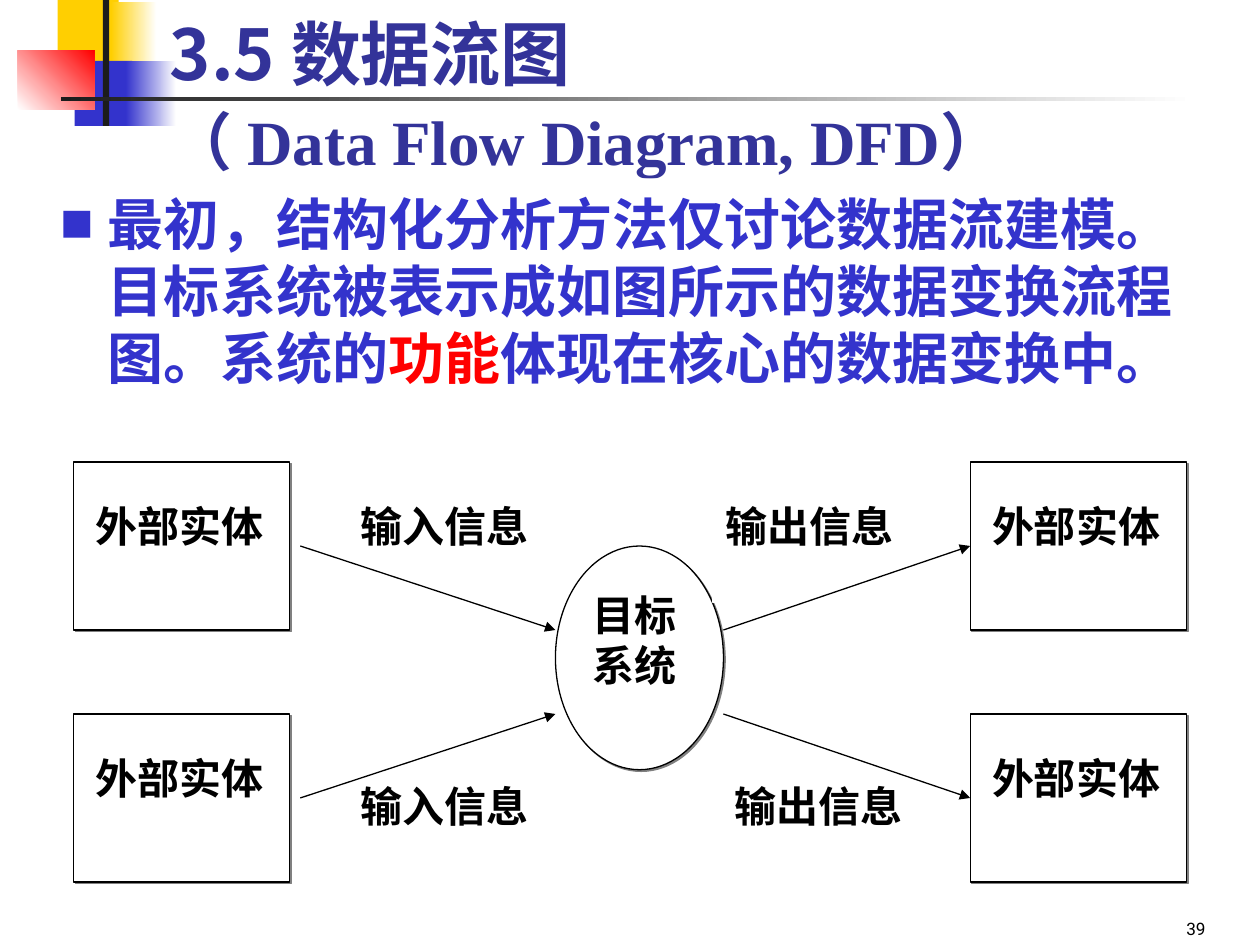
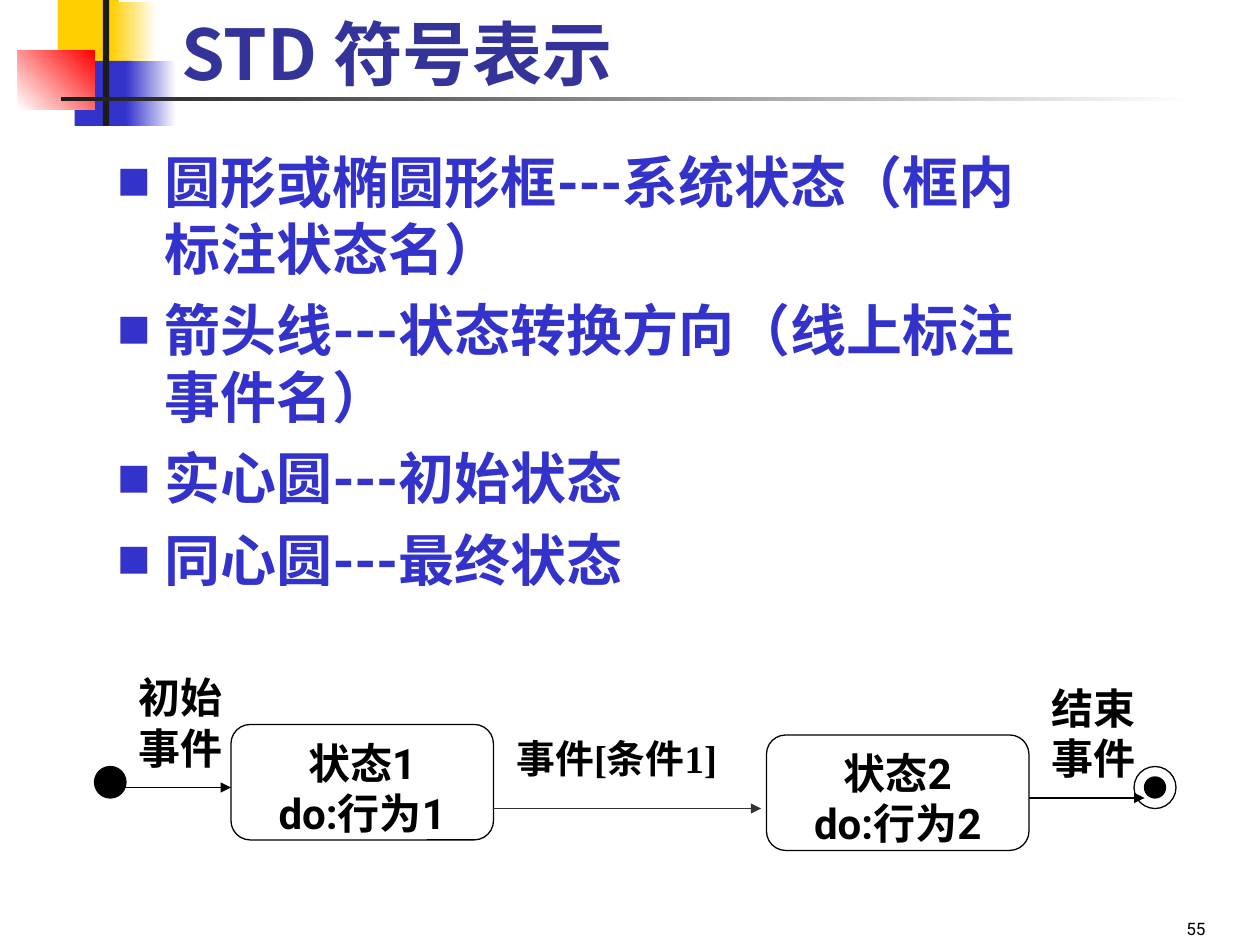
from lxml import etree
from pptx import Presentation
from pptx import util as u
from pptx.dml.color import RGBColor
from pptx.enum import shapes, text
from pptx.oxml import ns

PX = 7620
COLORS = {
    "white": "FFFFFF", "black": "000000", "ink": "1C1C1C", "yellow": "FFCF01",
    "blue": "3333CC", "red": "FF0000", "title": "333399", "shadow": "808080",
    "grey": "333333",
}
RGB = {name: RGBColor.from_string(value) for name, value in COLORS.items()}
CJK, SANS, SERIF = "Noto Sans CJK SC", "Roboto", "Times New Roman"
RECT = shapes.MSO_SHAPE.RECTANGLE
OVAL = shapes.MSO_SHAPE.OVAL
ROUNDED = shapes.MSO_SHAPE.ROUNDED_RECTANGLE
TOP, MIDDLE, BOTTOM = text.MSO_ANCHOR.TOP, text.MSO_ANCHOR.MIDDLE, text.MSO_ANCHOR.BOTTOM
LEFT, CENTER, RIGHT = text.PP_ALIGN.LEFT, text.PP_ALIGN.CENTER, text.PP_ALIGN.RIGHT


def place(slide, kind, box, fill=None, line=None, shadow=False):
    shape = slide.shapes.add_shape(kind, *[value * PX for value in box])
    shape.shadow.inherit = False
    if isinstance(fill, tuple):
        start, end, angle = fill
        shape.fill.gradient()
        shape.fill.gradient_angle = angle
        for stop, color in zip(shape.fill.gradient_stops, (start, end)):
            stop.color.rgb = RGB[color]
    elif fill:
        shape.fill.solid()
        shape.fill.fore_color.rgb = RGB[fill]
    else:
        shape.fill.background()
    if line:
        shape.line.color.rgb = RGB[line]
        shape.line.width = u.Pt(0.75)
    else:
        shape.line.fill.background()
    if shadow:
        effects = shape._element.spPr.find(ns.qn("a:effectLst"))
        outer = etree.SubElement(effects, ns.qn("a:outerShdw"), dist="17780", dir="2700000")
        etree.SubElement(outer, ns.qn("a:srgbClr"), val=COLORS["shadow"])
    return shape


def write(shape, lines, size=24, font=SERIF, color="black", align=LEFT,
          anchor=TOP, bold=True, bullets=False):
    frame = shape.text_frame
    frame.word_wrap = True
    frame.vertical_anchor = anchor
    frame.margin_top, frame.margin_bottom = 10 * PX, 0
    for index, parts in enumerate(lines):
        paragraph = frame.paragraphs[0] if index == 0 else frame.add_paragraph()
        paragraph.alignment = align
        paragraph.line_spacing = u.Pt(round(size * 1.2, 1))
        if bullets:
            paragraph.space_before = u.Pt(8 if index else 0)
            properties = paragraph._p.get_or_add_pPr()
            properties.set("marL", str(45 * PX))
            properties.set("indent", str(-45 * PX))
            bullet_color = etree.SubElement(properties, ns.qn("a:buClr"))
            etree.SubElement(bullet_color, ns.qn("a:srgbClr"), val=COLORS["blue"])
            etree.SubElement(properties, ns.qn("a:buSzPct"), val="60000")
            etree.SubElement(properties, ns.qn("a:buFont"), typeface=CJK)
            etree.SubElement(properties, ns.qn("a:buChar"), char="■")
        for part in parts:
            run = paragraph.add_run()
            run.text = part
            run.font.size = u.Pt(size)
            run.font.bold = bold
            run.font.color.rgb = RGB[color]
            run.font.name = font
            etree.SubElement(run._r.get_or_add_rPr(), ns.qn("a:ea"), typeface=CJK)
    return frame


presentation = Presentation()
presentation.slide_width = 1200 * PX
presentation.slide_height = 900 * PX

DECORATIONS = [
    ((55, 0, 58, 62), "yellow"),
    ((106, 2, 43, 62), ("yellow", "white", 0)),
    ((71, 58, 55, 62), "blue"),
    ((120, 58, 48, 62), ("blue", "white", 0)),
    ((17, 48, 73, 56), ("white", "red", 45)),
    ((98, 0, 6, 120), "ink"),
    ((58, 92, 1080, 4), ("ink", "white", 0)),
]
PAGES = [
    {
        "number": "39",
        "title": [["3.5 数据流图"], ["（ Data Flow Diagram, DFD）"]],
        "title_box": (150, 0, 1000, 170),
        "body": [["最初，结构化分析方法仅讨论数据流建模。目标系统被表示成如图所示的数据变换流程图。系统的",
                  "功能", "体现在核心的数据变换中。"]],
        "body_box": (46, 170, 1105, 210),
        "body_font": CJK,
    },
    {
        "number": "55",
        "title": [["STD 符号表示"]],
        "title_box": (161, 0, 949, 90),
        "body": [["圆形或椭圆形框---系统状态（框内标注状态名）"],
                 ["箭头线---状态转换方向（线上标注事件名）"],
                 ["实心圆---初始状态"],
                 ["同心圆---最终状态"]],
        "body_box": (100, 130, 930, 440),
        "body_font": SANS,
    },
]
slides, titles, bodies = [], [], []
for page in PAGES:
    slide = presentation.slides.add_slide(presentation.slide_layouts[6])
    for box, fill in DECORATIONS:
        place(slide, RECT, box, fill)
    title = slide.shapes.add_textbox(*[value * PX for value in page["title_box"]])
    titles.append(write(title, page["title"], 40, CJK, "title", anchor=BOTTOM))
    body = place(slide, RECT, page["body_box"], "white")
    bodies.append(write(body, page["body"], 32, page["body_font"], "blue", bullets=True))
    number = slide.shapes.add_textbox(910 * PX, 834 * PX, 250 * PX, 60 * PX)
    write(number, [[page["number"]]], 9.8, SANS, align=RIGHT, anchor=BOTTOM, bold=False)
    slides.append(slide)

flow_slide, state_slide = slides
subtitle = titles[0].paragraphs[1].runs[0]
subtitle.font.size = u.Pt(36)
subtitle.font.name = SERIF
bodies[0].paragraphs[0].runs[1].font.color.rgb = RGB["red"]

entities = {}
for left in (70, 924):
    for top in (440, 680):
        entities[left, top] = place(flow_slide, RECT, (left, top, 206, 160), "white", "black", True)
        label = place(flow_slide, RECT, (left + 9, top + 27, 187, 107), "white", "white")
        write(label, [["外部实体"]])

target = place(flow_slide, OVAL, (529, 520, 160, 213), "white", "black", True)
write(target, [["目标"], ["系统"]])
for left, top, caption in [(332, 467, "输入信息"), (332, 733, "输入信息"),
                           (679, 467, "输出信息"), (688, 733, "输出信息")]:
    label = place(flow_slide, RECT, (left, top, 187, 107), "white", "white")
    write(label, [[caption]])

for left, top, index in [(220, 690, 1), (730, 700, 2)]:
    state = place(state_slide, ROUNDED, (left, top, 250, 110), line="black")
    write(state, [[f"状态{index}"], [f"do:行为{index}"]], font=SANS, align=CENTER, anchor=MIDDLE)
for left, top, diameter, fill in [(90, 730, 30, "black"), (1080, 730, 40, None),
                                  (1090, 740, 20, "black")]:
    place(state_slide, OVAL, (left, top, diameter, diameter), fill, "black")
for box, caption, size, font in [((480, 690, 252, 60), "事件[条件1]", 22.2, SERIF),
                                 ((990, 640, 110, 108), "结束事件", 24, SANS),
                                 ((120, 630, 110, 108), "初始事件", 24, SANS)]:
    label = state_slide.shapes.add_textbox(*[value * PX for value in box])
    write(label, [[caption]], size, font)

ARROWS = [
    (flow_slide, (286, 520, 529, 600), "black", None),
    (flow_slide, (286, 760, 529, 680), "black", None),
    (flow_slide, (689, 600, 924, 520), "black", entities[924, 440]),
    (flow_slide, (689, 680, 924, 760), "black", entities[924, 680]),
    (state_slide, (470, 770, 725, 770), "grey", None),
    (state_slide, (110, 750, 220, 750), "black", None),
    (state_slide, (980, 760, 1090, 760), "black", None),
]
for slide, ends, color, entity in ARROWS:
    arrow = slide.shapes.add_connector(
        shapes.MSO_CONNECTOR.STRAIGHT, *[value * PX for value in ends])
    if entity is not None:
        arrow.end_connect(entity, 1)
    arrow.line.color.rgb = RGB[color]
    arrow.line.width = u.Pt(0.75)
    etree.SubElement(arrow.line._get_or_add_ln(), ns.qn("a:tailEnd"), type="triangle")
    etree.SubElement(arrow._element.spPr, ns.qn("a:effectLst"))

presentation.save("out.pptx")
